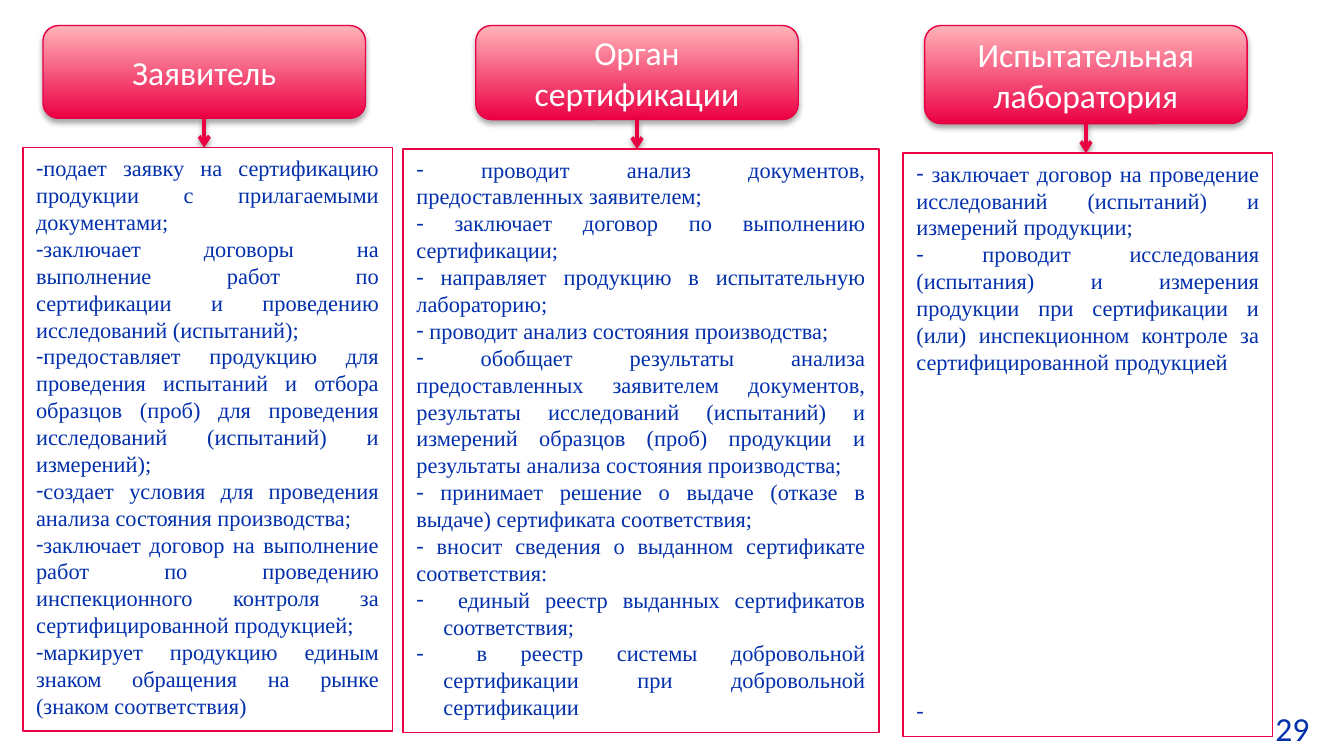
import pptx
import pptx.dml.color
import pptx.enum.shapes
import pptx.enum.text
import pptx.oxml
import pptx.oxml.ns
import pptx.util

Inches = pptx.util.Inches
Pt = pptx.util.Pt
Align = pptx.enum.text.PP_ALIGN
Anchor = pptx.enum.text.MSO_ANCHOR
Shape = pptx.enum.shapes.MSO_SHAPE

COLORS = {"crimson": "EC0044", "edge": "E70043", "pink": "FFB3B9",
          "navy": "0230AC", "white": "FFFFFF", "black": "000000"}
LINE_HEIGHT = 14.4


def color(name):
    return pptx.dml.color.RGBColor.from_string(COLORS[name])


def xml(tag, inner="", **attributes):
    pairs = " ".join(f'{key}="{value}"' for key, value in attributes.items())
    return pptx.oxml.parse_xml(
        f'<a:{tag} {pptx.oxml.ns.nsdecls("a")} {pairs}>{inner}</a:{tag}>')


def write(para, text, *, size=12, font="Times New Roman", ink="navy",
          align=Align.JUSTIFY, bullet=None, hanging=0, before=0, spacing=None):
    """Put formatted text into a paragraph."""
    if bullet:
        properties = para._p.get_or_add_pPr()
        properties.set("marL", str(Inches(hanging)))
        properties.set("indent", str(-Inches(hanging)))
        properties.append(xml("buFont", typeface=font))
        properties.append(xml("buChar", char=bullet))
    para.alignment = align
    if spacing:
        para.line_spacing = Pt(spacing)
    if before:
        para.space_before = Pt(before)
    span = para.add_run()
    span.text = text
    span.font.size = Pt(size)
    span.font.name = font
    span.font.color.rgb = color(ink)


class Builder:
    heading_style = dict(size=18, font="Calibri", ink="white", align=Align.CENTER)
    number_style = dict(size=18, font="Calibri", align=Align.LEFT)

    def __init__(self, page):
        self.page = page

    def shadow(self, item, opacity, distance):
        glow = (f'<a:outerShdw blurRad="{Pt(3.1)}" dist="{Pt(distance)}" dir="5400000" '
                f'rotWithShape="0"><a:srgbClr val="{COLORS["black"]}">'
                f'<a:alpha val="{opacity * 1000}"/></a:srgbClr></a:outerShdw>')
        item._element.spPr.append(xml("effectLst", glow))

    def block(self, kind, edge, anchor, left, top, width, height):
        box = self.page.shapes.add_shape(
            kind, Inches(left), Inches(top), Inches(width), Inches(height))
        box.line.color.rgb = color(edge)
        box.line.width = Pt(0.75)
        box.text_frame.word_wrap = True
        box.text_frame.vertical_anchor = anchor
        return box

    def heading(self, text, *place):
        box = self.block(Shape.ROUNDED_RECTANGLE, "edge", Anchor.MIDDLE, *place)
        box.fill.gradient()
        box.fill.gradient_angle = 90
        for position, name in enumerate(("crimson", "pink")):
            stop = box.fill.gradient_stops[position]
            stop.position = position
            stop.color.rgb = color(name)
        self.shadow(box, 35, 1.8)
        write(box.text_frame.paragraphs[0], text, **self.heading_style)
        return box

    def duties(self, items, *place):
        box = self.block(Shape.RECTANGLE, "crimson", Anchor.TOP, *place)
        box.shadow.inherit = False
        box.fill.solid()
        box.fill.fore_color.rgb = color("white")
        frame = box.text_frame
        for index, (text, options) in enumerate(items):
            para = frame.add_paragraph() if index else frame.paragraphs[0]
            write(para, text, bullet="-", spacing=LINE_HEIGHT, **options)

    def arrow(self, box, bottom):
        x = box.left + box.width // 2
        line = self.page.shapes.add_connector(
            pptx.enum.shapes.MSO_CONNECTOR.STRAIGHT, x, box.top + box.height, x, Inches(bottom))
        line.begin_connect(box, 2)
        line.line.color.rgb = color("crimson")
        line.line.width = Pt(2)
        line.line._get_or_add_ln().append(xml("tailEnd", type="arrow"))
        self.shadow(line, 38, 1.6)

    def number(self, text, left, top, width, height):
        box = self.page.shapes.add_textbox(
            Inches(left), Inches(top), Inches(width), Inches(height))
        box.text_frame.word_wrap = True
        write(box.text_frame.paragraphs[0], text, **self.number_style)


def plain(*texts):
    return [(text, {}) for text in texts]


# Heading, heading left and height, list left, top and width, list items
COLUMNS = [
    ("Заявитель", 0.32, 0.69, 0.17, 1.1, 2.75, plain(
        "подает заявку на сертификацию продукции с прилагаемыми документами;",
        "заключает договоры на выполнение работ по сертификации и проведению "
        "исследований (испытаний);",
        "предоставляет продукцию для проведения испытаний и отбора образцов (проб) "
        "для проведения исследований (испытаний) и измерений);",
        "создает условия для проведения анализа состояния производства;",
        "заключает договор на выполнение работ по проведению инспекционного контроля "
        "за сертифицированной продукцией;",
        "маркирует продукцию единым знаком обращения на рынке (знаком соответствия)")),
    ("Орган сертификации", 3.54, 0.7, 3, 1.11, 3.54, plain(
        " проводит анализ документов, предоставленных заявителем;",
        " заключает договор по выполнению сертификации;",
        " направляет продукцию в испытательную лабораторию;",
        " проводит анализ состояния производства;",
        " обобщает результаты анализа предоставленных заявителем документов, результаты "
        "исследований (испытаний) и измерений образцов (проб) продукции и результаты "
        "анализа состояния производства;",
        " принимает решение о выдаче (отказе в выдаче) сертификата соответствия;",
        " вносит сведения о выданном сертификате соответствия:") + [
        (" единый реестр выданных сертификатов соответствия;", {"hanging": 0.2}),
        (" в реестр системы добровольной сертификации при добровольной сертификации",
         {"hanging": 0.2})]),
    ("Испытательная лаборатория", 6.88, 0.73, 6.72, 1.14, 2.75, plain(
        " заключает договор на проведение исследований (испытаний) и измерений продукции;",
        " проводит исследования (испытания) и измерения продукции при сертификации и "
        "(или) инспекционном контроле за сертифицированной продукцией") + [
        (" ", {"before": 12 * LINE_HEIGHT})]),
]


def main():
    # Widescreen page, 16 by 9
    deck = pptx.Presentation()
    deck.slide_width = Inches(10)
    deck.slide_height = deck.slide_width * 9 // 16
    builder = Builder(deck.slides.add_slide(deck.slide_layouts[6]))

    # Page number
    builder.number("29", 9.39, 5.22, 0.59, 0.4)

    # Participants and their duties
    for title, left, height, list_left, list_top, list_width, items in COLUMNS:
        box = builder.heading(title, left, 0.19, 2.4, height)
        builder.arrow(box, list_top)
        builder.duties(items, list_left, list_top, list_width, 4.34)

    deck.save("out.pptx")


if __name__ == "__main__":
    main()
